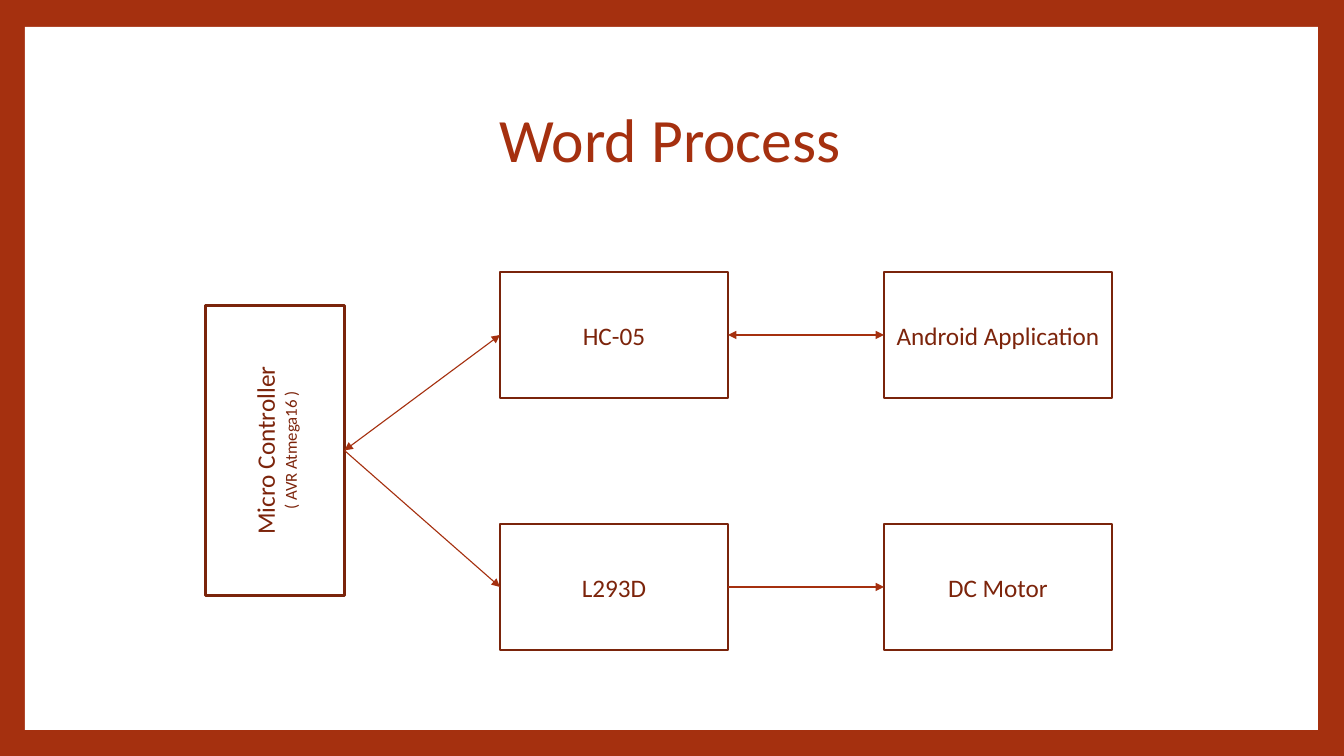
from pptx import Presentation
from pptx import util as u
from pptx.dml.color import RGBColor
from pptx.enum import shapes, text
from pptx.oxml.ns import qn
from lxml import etree

PX = 914400 / 100.8
THEME = {
    "font": "Calibri",
    "rust": RGBColor(0xA5, 0x30, 0x0F),
    "edge": RGBColor(0x7A, 0x24, 0x0B),
    "ink": RGBColor(0x7C, 0x24, 0x0B),
    "white": RGBColor(0xFF, 0xFF, 0xFF),
    "title": 44, "label": 18, "note": 12,
    "border": 1.5, "wire": 0.79,
}


def add_box(*rect):
    """Add a flat white rectangle given left, top, width, height in px."""
    box = slide.shapes.add_shape(shapes.MSO_SHAPE.RECTANGLE,
                                 *(u.Emu(round(n * PX)) for n in rect))
    box.shadow.inherit = False
    box.fill.solid()
    box.fill.fore_color.rgb = THEME["white"]
    return box


def write(para, words, size, color):
    para.alignment = text.PP_ALIGN.CENTER
    run = para.add_run()
    run.text = words
    run.font.name = THEME["font"]
    run.font.size = u.Pt(THEME[size])
    run.font.color.rgb = THEME[color]


deck = Presentation()
deck.slide_width = u.Emu(round(1344 * PX))
deck.slide_height = u.Emu(round(756 * PX))
slide = deck.slides.add_slide(deck.slide_layouts.get_by_name("Title Only"))
slide.background.fill.solid()
slide.background.fill.fore_color.rgb = THEME["rust"]

# Title over the white panel
title = slide.shapes.title
title.left, title.top, title.width, title.height = (
    u.Emu(round(n * PX)) for n in (126, 68, 1089, 149))
frame = title.text_frame
frame.auto_size = text.MSO_AUTO_SIZE.NONE
frame.vertical_anchor = text.MSO_ANCHOR.MIDDLE
frame.paragraphs[0].line_spacing = 0.9
write(frame.paragraphs[0], "Word Process", "title", "rust")

panel = add_box(25, 27, 1293, 703)
panel.line.fill.background()
title._element.addprevious(panel._element)

# Blocks: the hub is turned, the others stand on a two by two grid
COLS, ROWS = (500, 884), (272, 524)
BLOCKS = {
    "hub": (130, 381, 290, 139, ["Micro Controller", "( AVR Atmega16 )"]),
    "radio": (COLS[0], ROWS[0], 228, 126, ["HC-05"]),
    "app": (COLS[1], ROWS[0], 228, 126, ["Android Application"]),
    "driver": (COLS[0], ROWS[1], 228, 126, ["L293D"]),
    "motor": (COLS[1], ROWS[1], 228, 126, ["DC Motor"]),
}
boxes = {}
for name, (*rect, lines) in BLOCKS.items():
    box = boxes[name] = add_box(*rect)
    box.line.color.rgb = THEME["edge"]
    box.line.width = u.Pt(THEME["border"])
    frame = box.text_frame
    frame.word_wrap = True
    frame.vertical_anchor = text.MSO_ANCHOR.MIDDLE
    write(frame.paragraphs[0], lines[0], "label", "ink")
    for note in lines[1:]:
        write(frame.add_paragraph(), note, "note", "ink")
hub = boxes["hub"]
hub.rotation = 270

# Arrows run from a block's right side to the next one's left side
TOP, LEFT, BOTTOM, RIGHT = range(4)
LINKS = [
    ("radio", "app", ["headEnd", "tailEnd"]),
    ("hub", "radio", ["headEnd", "tailEnd"]),
    ("hub", "driver", ["tailEnd"]),
    ("driver", "motor", ["tailEnd"]),
]
for start, stop, tips in LINKS:
    wire = slide.shapes.add_connector(shapes.MSO_CONNECTOR.STRAIGHT, 0, 0, 0, 0)
    wire.begin_connect(boxes[start], BOTTOM if start == "hub" else RIGHT)
    wire.end_connect(boxes[stop], LEFT)
    if start == "hub":  # its bottom faces right once turned
        wire.begin_x = hub.left + (hub.width + hub.height) // 2
        wire.begin_y = hub.top + hub.height // 2
    wire.line.color.rgb = THEME["rust"]
    wire.line.width = u.Pt(THEME["wire"])
    props = wire._element.spPr
    for tip in tips:
        etree.SubElement(props.find(qn("a:ln")), qn("a:" + tip), type="triangle")
    etree.SubElement(props, qn("a:effectLst"))

deck.save("out.pptx")
